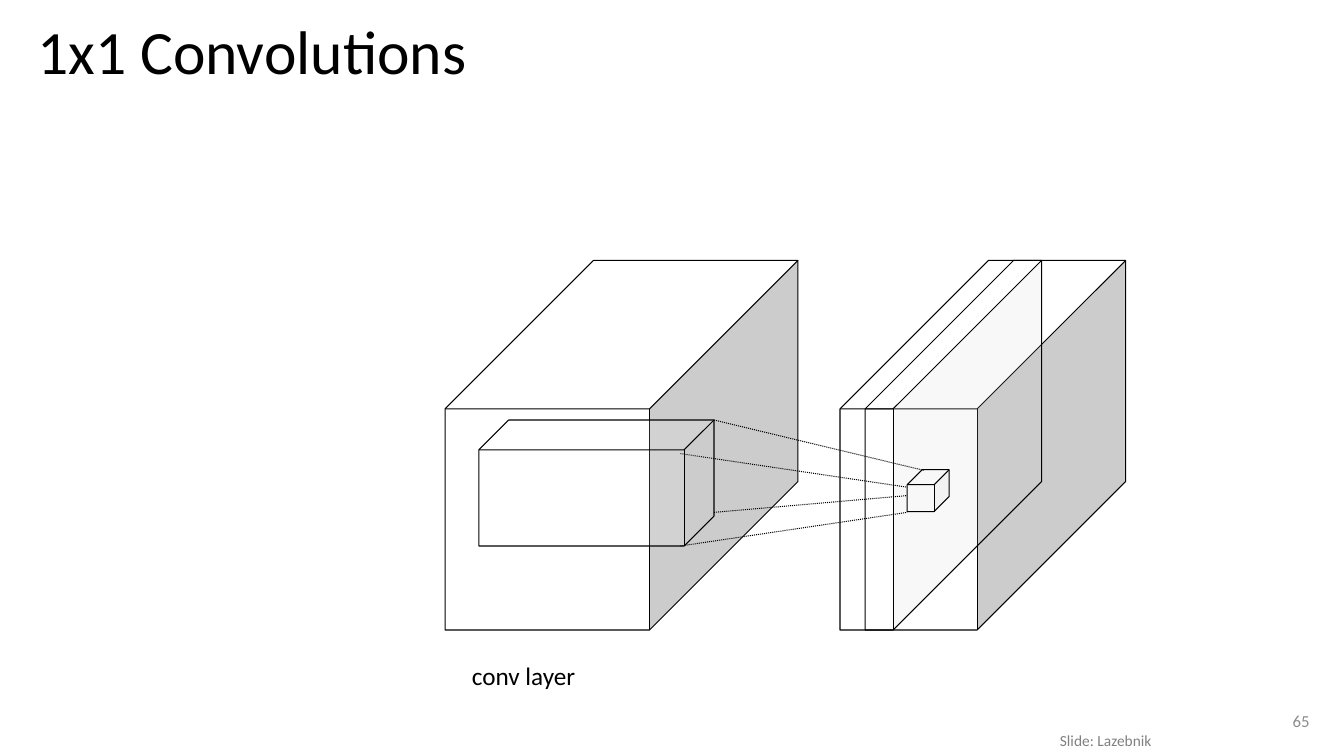
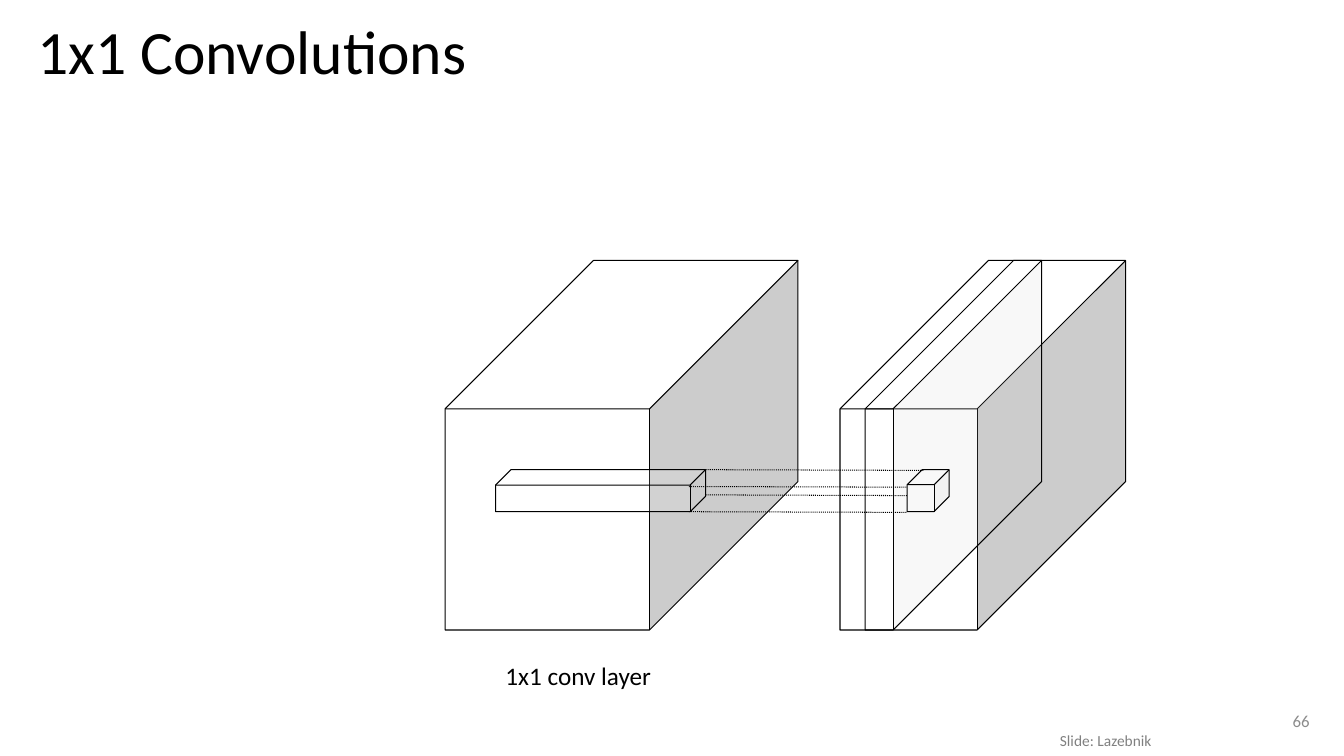
from dataclasses import dataclass

from lxml import etree
from pptx import Presentation
from pptx.dml.color import RGBColor
from pptx.enum import dml, shapes, text
from pptx.oxml import ns
from pptx.util import Pt


@dataclass(frozen=True)
class Theme:
    font: str = "Calibri"
    ink: RGBColor = RGBColor(0x00, 0x00, 0x00)
    paper: RGBColor = RGBColor(0xFF, 0xFF, 0xFF)
    credit: RGBColor = RGBColor(0x80, 0x80, 0x80)
    number: RGBColor = RGBColor(0x8C, 0x8C, 0x8C)
    title_size: int = 44
    label_size: int = 18
    number_size: int = 12
    credit_size: int = 11
    line_width: float = 0.75
    glass_opacity: int = 13  # percent


THEME = Theme()

# Geometry shared by the slides, in points: left, top, width, height
INPUT_VOLUME = (318, 186, 252, 264)
OUTPUT_VOLUME = (600, 186, 204, 264)
OUTPUT_SLICE = (618, 186, 126, 264)
OUTPUT_UNIT = (648, 335.5, 30, 30)
VOLUME_DEPTH = 106
UNIT_DEPTH = 10.75
UNIT_RAY_ENDS = [(660, 336), (648, 348), (648, 366), (648, 354)]


class Deck:
    def __init__(self, theme):
        self.theme = theme
        self.presentation = Presentation()
        self.presentation.slide_width = Pt(960)
        self.presentation.slide_height = Pt(540)
        self.slide = None

    def set_text(self, shape, words, size, color):
        """Put one styled paragraph in a shape and return it."""
        shape.text_frame.text = words
        paragraph = shape.text_frame.paragraphs[0]
        paragraph.font.name = self.theme.font
        paragraph.font.size = Pt(size)
        paragraph.font.color.rgb = color
        return paragraph

    def add_slide(self, title, number, credit):
        theme = self.theme
        layout = self.presentation.slide_layouts.get_by_name("Title Only")
        self.slide = self.presentation.slides.add_slide(layout)

        # Title
        shape = self.slide.shapes.title
        shape.left, shape.top = Pt(19.5), Pt(11)
        shape.width, shape.height = Pt(923), Pt(56)
        shape.text_frame.auto_size = text.MSO_AUTO_SIZE.NONE
        shape.text_frame.vertical_anchor = text.MSO_ANCHOR.MIDDLE
        paragraph = self.set_text(shape, title, theme.title_size, theme.ink)
        paragraph.alignment = text.PP_ALIGN.LEFT
        paragraph.line_spacing = 0.9

        # Footer
        self.label(credit, (750, 519, 80.5, 21), theme.credit_size, theme.credit)
        shape = self.slide.shapes.add_textbox(Pt(726.5), Pt(500.5), Pt(216), Pt(29))
        shape.text_frame.word_wrap = True
        shape.text_frame.vertical_anchor = text.MSO_ANCHOR.MIDDLE
        paragraph = self.set_text(shape, str(number), theme.number_size, theme.number)
        paragraph.alignment = text.PP_ALIGN.RIGHT

    def label(self, words, box, size, color):
        shape = self.slide.shapes.add_textbox(*map(Pt, box))
        shape.text_frame.word_wrap = False
        shape.text_frame.auto_size = text.MSO_AUTO_SIZE.SHAPE_TO_FIT_TEXT
        self.set_text(shape, words, size, color)

    def cube(self, box, depth, glass=False):
        shape = self.slide.shapes.add_shape(shapes.MSO_SHAPE.CUBE, *map(Pt, box))
        shape.adjustments[0] = depth / min(box[2:])
        shape.shadow.inherit = False
        shape.fill.solid()
        shape.fill.fore_color.rgb = self.theme.paper
        shape.line.color.rgb = self.theme.ink
        shape.line.width = Pt(self.theme.line_width)
        if glass:
            color = shape._element.spPr.find(ns.qn("a:solidFill"))[0]
            alpha = etree.SubElement(color, ns.qn("a:alpha"))
            alpha.set("val", str(self.theme.glass_opacity * 1000))

    def ray(self, start, end):
        connector = self.slide.shapes.add_connector(
            shapes.MSO_CONNECTOR.STRAIGHT, *map(Pt, (*start, *end)))
        connector.line.color.rgb = self.theme.ink
        connector.line.width = Pt(self.theme.line_width)
        connector.line.dash_style = dml.MSO_LINE.ROUND_DOT
        etree.SubElement(connector._element.spPr, ns.qn("a:effectLst"))

    def convolution(self, filter_box, filter_depth, ray_inset):
        """Draw a filter in the input volume projected onto one output unit."""
        # Volumes
        self.cube(INPUT_VOLUME, VOLUME_DEPTH)
        self.cube(OUTPUT_VOLUME, VOLUME_DEPTH)
        self.cube(OUTPUT_SLICE, VOLUME_DEPTH, glass=True)
        self.cube(OUTPUT_UNIT, UNIT_DEPTH, glass=True)

        # Rays from the corners of the filter's right face
        left, top, width, height = filter_box
        right, bottom = left + width, top + height
        corners = [
            (right, top),
            (right - ray_inset, top + ray_inset),
            (right - ray_inset, bottom),
            (right, bottom - ray_inset),
        ]
        for start, end in zip(corners, UNIT_RAY_ENDS):
            self.ray(start, end)

        # Filter
        self.cube(filter_box, filter_depth, glass=True)


def main():
    deck = Deck(THEME)
    # label, label box, filter box, filter depth, ray inset
    layers = [
        ("conv layer", (330, 468, 89, 29), (342, 300, 168, 90), 21.4, 24),
        ("1x1 conv layer", (354, 468, 119.5, 29), (354, 335.5, 150, 30), 11, 12),
    ]
    for number, (name, name_box, *filter_geometry) in enumerate(layers, start=65):
        deck.add_slide("1x1 Convolutions", number, "Slide: Lazebnik")
        deck.convolution(*filter_geometry)
        deck.label(name, name_box, THEME.label_size, THEME.ink)
    deck.presentation.save("out.pptx")


if __name__ == "__main__":
    main()
